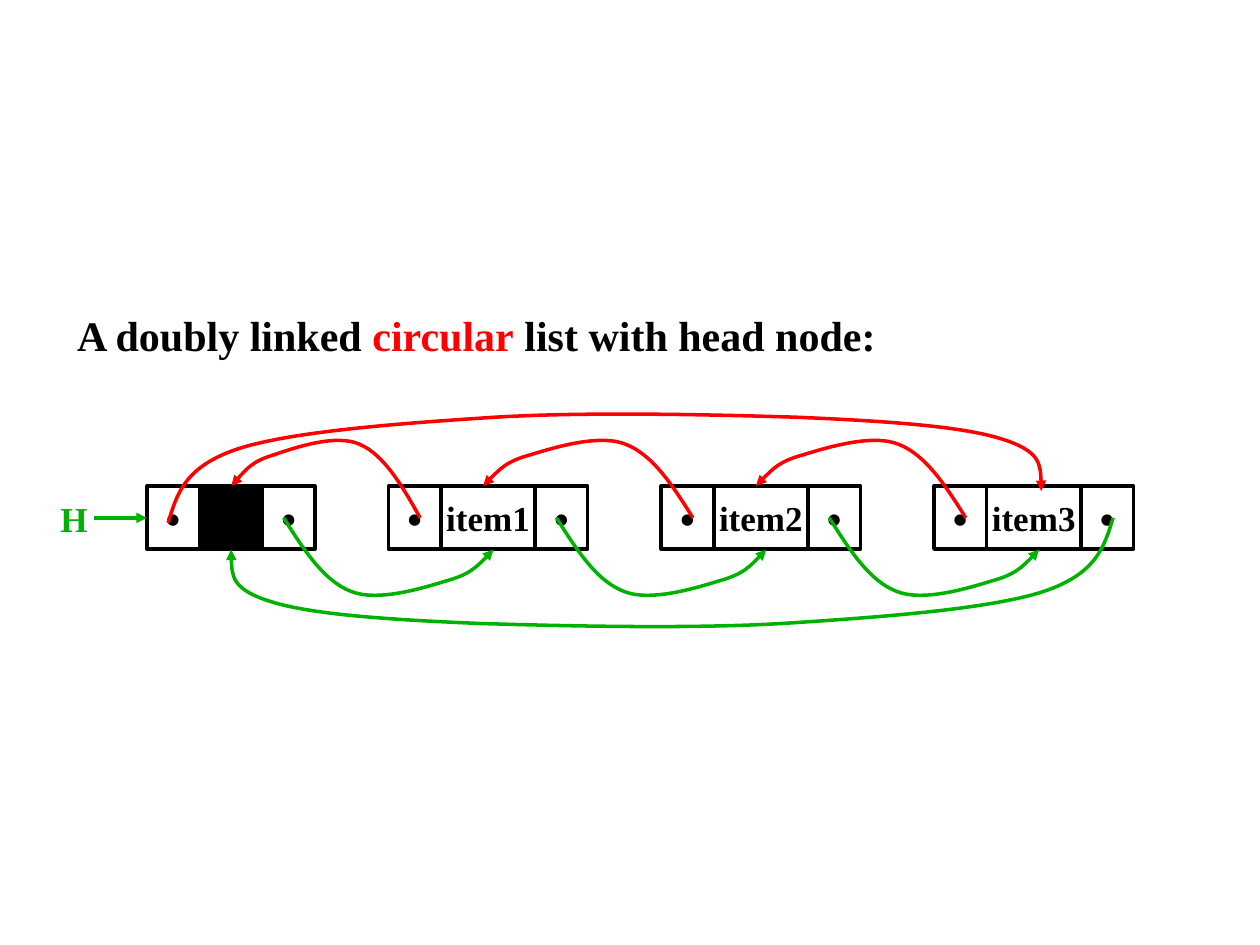
"""Build a slide showing a doubly linked circular list with a head node."""
import pptx
import pptx.dml.color
import pptx.enum.shapes
import pptx.enum.text
import pptx.oxml
import pptx.oxml.ns
import pptx.util
from lxml import etree
from pptx.util import Cm

COLORS = {"ink": "000000", "prev": "FF0000", "next": "00B200"}
FONT = "Times New Roman"
ROW_TOP, ROW_HEIGHT, LINK_WIDTH = 9.8, 1.27, 1.06
ITEM_WIDTH, HEAD_WIDTH = 1.9, 1.27
HEAD_LEFT, FIRST_ITEM_LEFT, PITCH = 2.96, 7.83, 5.5
LINK_Y = 10.44
HOP = [(0, 0), (0.4, 0.64), (0.81, 1.27), (1.35, 1.48), (1.88, 1.7),
       (2.79, 1.42), (3.28, 1.27), (3.76, 1.14), (3.99, 0.89), (4.23, 0.64)]
LOOP = [(0, 0), (0.18, 0.58), (0.33, 1.14), (1.45, 1.5), (2.57, 1.85),
        (4.8, 2.01), (6.68, 2.13), (8.56, 2.24), (11.05, 2.18), (12.75, 2.13),
        (14.45, 2.06), (16.1, 1.96), (16.94, 1.7), (17.78, 1.45),
        (17.78, 1.04), (17.78, 0.64)]


def rgb(name):
    return pptx.dml.color.RGBColor.from_string(COLORS[name])


def style_run(run, size, color="ink"):
    run.font.name = FONT
    run.font.size = pptx.util.Pt(size)
    run.font.bold = True
    run.font.color.rgb = rgb(color)


def write_centered(frame, text, size, color="ink"):
    frame.text = text
    frame.word_wrap = False
    frame.vertical_anchor = pptx.enum.text.MSO_ANCHOR.MIDDLE
    label = frame.paragraphs[0]
    label.alignment = pptx.enum.text.PP_ALIGN.CENTER
    style_run(label.runs[0], size, color)


def style_line(shape, color):
    shape.line.color.rgb = rgb(color)
    shape.line.width = pptx.util.Pt(2)


def add_arrowhead(shape):
    outline = shape.line._get_or_add_ln()
    etree.SubElement(outline, pptx.oxml.ns.qn("a:tailEnd"), type="triangle")


def add_title(slide):
    title = slide.shapes.title
    title.left, title.top, title.width, title.height = Cm(1.3), Cm(6.1), Cm(20.32), Cm(1.3)
    frame = title.text_frame
    frame.word_wrap = True
    frame.auto_size = pptx.enum.text.MSO_AUTO_SIZE.NONE
    frame.vertical_anchor = pptx.enum.text.MSO_ANCHOR.MIDDLE
    heading = frame.paragraphs[0]
    heading.alignment = pptx.enum.text.PP_ALIGN.LEFT
    for words, color in (("A doubly linked ", "ink"), ("circular", "prev"),
                         (" list with head node:", "ink")):
        run = heading.add_run()
        run.text = words
        style_run(run, 24, color)


def add_cell(slide, left, width, text="", size=24):
    cell = slide.shapes.add_shape(pptx.enum.shapes.MSO_SHAPE.RECTANGLE,
                                  Cm(left), Cm(ROW_TOP), Cm(width), Cm(ROW_HEIGHT))
    cell.shadow.inherit = False
    style_line(cell, "ink")
    if text:
        cell.fill.background()
        write_centered(cell.text_frame, text, size)
    else:
        cell.fill.solid()
        cell.fill.fore_color.rgb = rgb("ink")


def add_node(slide, left, data_width, item=""):
    data_left = left + LINK_WIDTH
    add_cell(slide, data_left, data_width, item, 20)
    for link_left in (left, data_left + data_width):
        add_cell(slide, link_left, LINK_WIDTH, "•")


def add_head_pointer(slide):
    label = slide.shapes.add_textbox(Cm(0.97), Cm(9.9), Cm(1.04), Cm(1.09))
    write_centered(label.text_frame, "H", 20, "next")
    pointer = slide.shapes.add_connector(pptx.enum.shapes.MSO_CONNECTOR.STRAIGHT,
                                         Cm(1.9), Cm(LINK_Y), Cm(HEAD_LEFT), Cm(LINK_Y))
    style_line(pointer, "next")
    add_arrowhead(pointer)
    etree.SubElement(pointer.element.spPr, pptx.oxml.ns.qn("a:effectLst"))


def add_curve(slide, start, offsets, scale, color):
    points = [(Cm(start[0] + x * scale[0]), Cm(start[1] + y * scale[1])) for x, y in offsets]
    builder = slide.shapes.build_freeform(*points[0])
    builder.add_line_segments(points[1:], close=False)
    curve = builder.convert_to_shape()
    curve.shadow.inherit = False
    curve.fill.background()
    style_line(curve, color)
    add_arrowhead(curve)
    segments = list(curve.element.iter(pptx.oxml.ns.qn("a:lnTo")))
    outline = segments[0].getparent()
    for first in range(0, len(segments), 3):
        bezier = etree.SubElement(outline, pptx.oxml.ns.qn("a:cubicBezTo"))
        for segment in segments[first:first + 3]:
            bezier.append(segment[0])
            outline.remove(segment)


def main():
    deck = pptx.Presentation()
    deck.slide_width, deck.slide_height = Cm(25.4), Cm(19.05)
    slide = deck.slides.add_slide(deck.slide_layouts[5])
    add_title(slide)
    add_node(slide, HEAD_LEFT, HEAD_WIDTH)
    for index, item in enumerate(("item1", "item2", "item3")):
        add_node(slide, FIRST_ITEM_LEFT + index * PITCH, ITEM_WIDTH, item)
    add_head_pointer(slide)
    for index, prev_stretch in enumerate((0.9, 1, 1)):
        shift = index * PITCH
        add_curve(slide, (5.72 + shift, LINK_Y), HOP, (1, 1), "next")
        add_curve(slide, (8.47 + shift, LINK_Y), HOP, (-prev_stretch, -1), "prev")
    add_curve(slide, (3.39, 10.54), LOOP, (0.99, -1), "prev")
    add_curve(slide, (22.44, LINK_Y), LOOP, (-1, 1), "next")
    deck.save("out.pptx")


if __name__ == "__main__":
    main()
